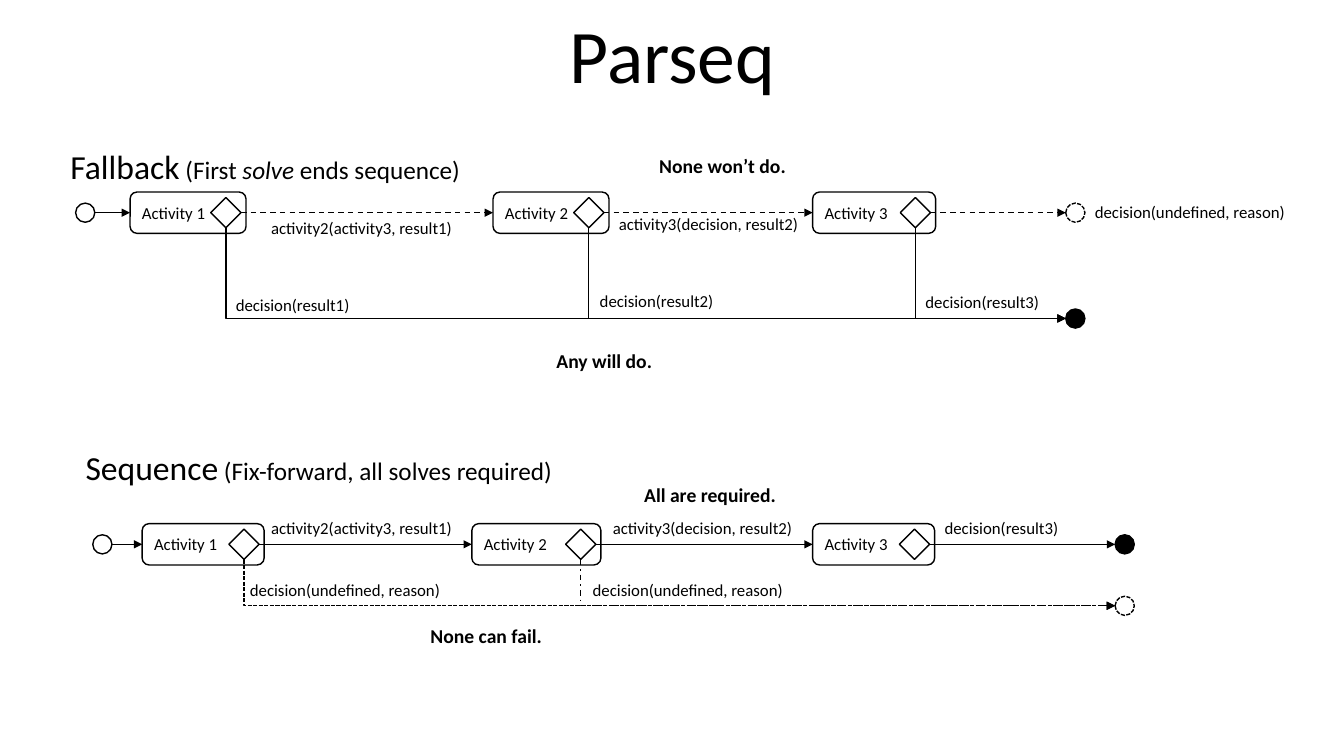
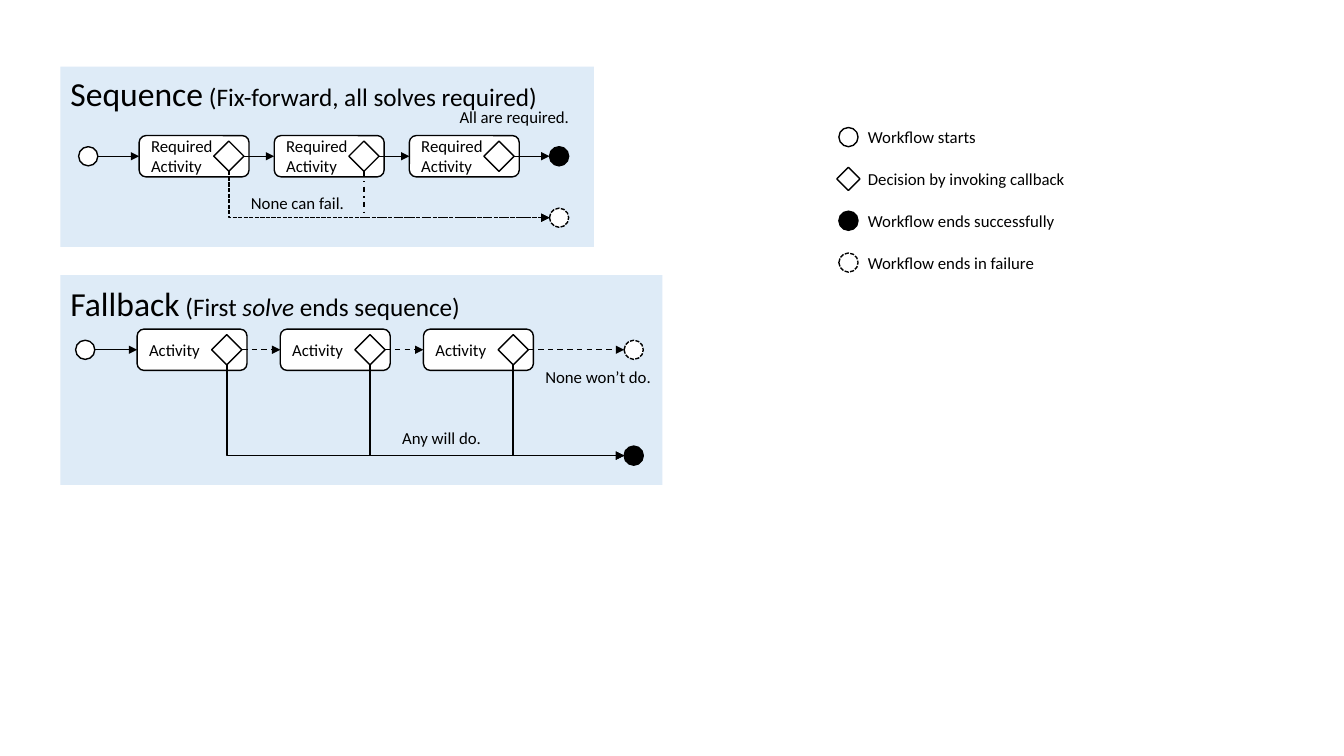
from dataclasses import dataclass

from lxml import etree
from pptx import Presentation
from pptx.dml.color import RGBColor
from pptx.enum import dml, shapes, text
from pptx.oxml.ns import qn
from pptx.util import Inches, Pt

DASH = dml.MSO_LINE.DASH
SHORT_DASH = dml.MSO_LINE.SQUARE_DOT
DASH_DOT = dml.MSO_LINE.DASH_DOT
SOLID = dml.MSO_LINE.SOLID


@dataclass(frozen=True)
class Theme:
    font: str = "Calibri"
    ink: RGBColor = RGBColor(0, 0, 0)
    paper: RGBColor = RGBColor(255, 255, 255)
    panel: RGBColor = RGBColor(0xDE, 0xEB, 0xF7)
    title: int = 54
    heading: int = 24
    subheading: int = 18
    remark: int = 14
    label: int = 12
    line: float = 1
    circle: float = 0.19
    diamond: float = 0.3
    box_height: float = 0.41


@dataclass(frozen=True)
class FlowKind:
    """How a workflow runs along its row and drops to its second end."""
    heading: tuple
    row_dash: object
    row_end: str
    drop_dashes: tuple
    drop_end: str
    drop: float


SEQUENCE = FlowKind(
    heading=("Sequence", (" (Fix-forward, all solves required)", False)),
    row_dash=SOLID, row_end="success",
    drop_dashes=(SHORT_DASH, DASH_DOT), drop_end="failure", drop=0.61)
FALLBACK = FlowKind(
    heading=("Fallback", (" (First ", False), ("solve", True), (" ends sequence)", False)),
    row_dash=DASH, row_end="failure",
    drop_dashes=(SOLID, SOLID, SOLID), drop_end="success", drop=1.05)


def assign(target, values):
    for name, value in values.items():
        setattr(target, name, value)


class Deck:
    def __init__(self, theme):
        self.theme = theme
        self.file = Presentation()
        assign(self.file, {"slide_width": Inches(13.33), "slide_height": Inches(7.5)})
        self.shapes = None

    def new_slide(self):
        self.shapes = self.file.slides.add_slide(self.file.slide_layouts[6]).shapes

    def add_run(self, paragraph, words, size, **style):
        run = paragraph.add_run()
        run.text = words
        assign(run.font, {"name": self.theme.font, "size": Pt(size), **style})
        run.font.color.rgb = self.theme.ink

    def text_frame(self, left, top, width, height, **frame_style):
        box = self.shapes.add_textbox(*map(Inches, (left, top, width, height)))
        assign(box.text_frame, frame_style)
        return box.text_frame

    def title(self, words):
        frame = self.text_frame(1.67, 0.18, 10, 0.86, word_wrap=True,
                                vertical_anchor=text.MSO_ANCHOR.BOTTOM)
        paragraph = frame.paragraphs[0]
        assign(paragraph, {"alignment": text.PP_ALIGN.CENTER, "line_spacing": 0.9})
        self.add_run(paragraph, words, self.theme.title)

    def heading(self, kind, left, top, width):
        frame = self.text_frame(left, top, width, 0.5, word_wrap=True)
        name, *details = kind.heading
        self.add_run(frame.paragraphs[0], name, self.theme.heading)
        for words, italic in details:
            self.add_run(frame.paragraphs[0], words, self.theme.subheading, italic=italic)

    def label(self, words, left, top, width):
        frame = self.text_frame(left, top, width, 0.3, word_wrap=False)
        self.add_run(frame.paragraphs[0], words, self.theme.label)

    def remark(self, words, left, top, width):
        frame = self.text_frame(left, top, width, 0.34, word_wrap=False)
        self.add_run(frame.paragraphs[0], words, self.theme.remark, bold=True)

    def shape(self, preset, left, top, width, height, fill, dash=SOLID, outlined=True):
        shape = self.shapes.add_shape(preset, *map(Inches, (left, top, width, height)))
        shape.shadow.inherit = False
        shape.fill.solid()
        shape.fill.fore_color.rgb = fill
        if outlined:
            self.outline(shape.line, dash)
        else:
            shape.line.fill.background()
        return shape

    def outline(self, line, dash):
        line.color.rgb = self.theme.ink
        assign(line, {"width": Pt(self.theme.line), "dash_style": dash})

    def panel(self, left, top, width, height):
        self.shape(shapes.MSO_SHAPE.RECTANGLE, left, top, width, height,
                   self.theme.panel, outlined=False)

    def event(self, role, left, middle):
        """Draw the circle for a start, a success or a failure."""
        size = self.theme.circle
        fill = self.theme.ink if role == "success" else self.theme.paper
        dash = SHORT_DASH if role == "failure" else SOLID
        self.shape(shapes.MSO_SHAPE.OVAL, left, middle - size / 2, size, size, fill, dash)

    def decision(self, center, middle, size):
        self.shape(shapes.MSO_SHAPE.DIAMOND, center - size / 2, middle - size / 2,
                   size, size, self.theme.paper)

    def activity(self, words, left, middle, width):
        height = self.theme.box_height
        box = self.shape(shapes.MSO_SHAPE.ROUNDED_RECTANGLE, left, middle - height / 2,
                         width, height, self.theme.paper)
        frame = box.text_frame
        frame.vertical_anchor = text.MSO_ANCHOR.MIDDLE
        for number, line in enumerate(words.split("\n")):
            paragraph = frame.add_paragraph() if number else frame.paragraphs[0]
            paragraph.alignment = text.PP_ALIGN.LEFT
            self.add_run(paragraph, line, self.theme.label)

    def connector(self, preset, start, end, dash):
        line = self.shapes.add_connector(preset, *map(Inches, (*start, *end)))
        self.outline(line.line, dash)
        properties = line._element.spPr
        etree.SubElement(properties.find(qn("a:ln")), qn("a:tailEnd"), type="triangle")
        etree.SubElement(properties, qn("a:effectLst"))
        return properties

    def arrow(self, start, end, middle, dash=SOLID):
        self.connector(shapes.MSO_CONNECTOR.STRAIGHT, (start, middle), (end, middle), dash)

    def drop_arrow(self, left, top, right, bottom, dash):
        """Go straight down, then right: a one-bend connector turned by 270 degrees."""
        x, y = (left + right) / 2, (top + bottom) / 2
        half_width, half_height = (right - left) / 2, (bottom - top) / 2
        properties = self.connector(
            shapes.MSO_CONNECTOR.ELBOW, (x + half_height, y - half_width),
            (x - half_height, y + half_width), dash)
        properties.find(qn("a:xfrm")).set("rot", str(270 * 60000))
        properties.find(qn("a:prstGeom")).set("prst", "bentConnector2")

    def flow(self, kind, start, middle, activities, end):
        """Draw a workflow; activities are (words, left, width)."""
        half = self.theme.diamond / 2
        centers = [left + width - 0.2 for _, left, width in activities]
        targets = [left for _, left, _ in activities[1:]] + [end]
        bottom = middle + kind.drop
        self.event("start", start, middle)
        self.arrow(start + self.theme.circle, activities[0][1], middle)
        for (words, left, width), center in zip(activities, centers):
            self.activity(words, left, middle, width)
            self.decision(center, middle, self.theme.diamond)
        for center, target in zip(centers, targets):
            self.arrow(center + half, target, middle, kind.row_dash)
        for center, dash in zip(centers, kind.drop_dashes):
            self.drop_arrow(center, middle + half, end, bottom, dash)
        self.event(kind.row_end, end, middle)
        self.event(kind.drop_end, end, bottom)


def detailed_slide(deck):
    deck.new_slide()
    deck.title("Parseq")
    deck.heading(FALLBACK, 0.6, 1.4, 5.97)
    deck.flow(FALLBACK, 0.75, 2.11, [("Activity 1", 1.29, 1.15), ("Activity 2", 4.89, 1.15),
                                     ("Activity 3", 8.06, 1.22)], 10.57)
    deck.heading(SEQUENCE, 0.75, 4.38, 4.92)
    deck.flow(SEQUENCE, 0.92, 5.4, [("Activity 1", 1.41, 1.21), ("Activity 2", 4.68, 1.28),
                                    ("Activity 3", 8.06, 1.21)], 11.06)
    for remark in (("None won’t do.", 6.44, 1.48, 1.46), ("Any will do.", 5.42, 3.41, 1.16),
                   ("All are required.", 6.29, 4.74, 1.52), ("None can fail.", 4.17, 6.14, 1.32)):
        deck.remark(*remark)
    calls = {
        ("activity2(activity3, result1)", 2.02): [(2.59, 2.11), (2.59, 5.09)],
        ("activity3(decision, result2)", 2): [(6.04, 2.07), (5.98, 5.09)],
        ("decision(undefined, reason)", 2.12): [(10.76, 1.95), (2.38, 5.7), (5.78, 5.7)],
        ("decision(result1)", 1.34): [(2.24, 2.87)],
        ("decision(result2)", 1.34): [(5.85, 2.84)],
        ("decision(result3)", 1.34): [(9.08, 2.85), (9.27, 5.09)],
    }
    for (words, width), places in calls.items():
        for left, top in places:
            deck.label(words, left, top, width)


def row_of_three(words, first, pitch):
    return [(words, first + pitch * step, 1.09) for step in range(3)]


def summary_slide(deck):
    deck.new_slide()
    deck.panel(0.6, 0.66, 5.29, 1.79)
    deck.heading(SEQUENCE, 0.6, 0.67, 4.92)
    deck.flow(SEQUENCE, 0.78, 1.55, row_of_three("Required\nActivity", 1.38, 1.34), 5.45)
    deck.panel(0.6, 2.73, 5.97, 2.08)
    deck.heading(FALLBACK, 0.6, 2.76, 5.97)
    deck.flow(FALLBACK, 0.75, 3.47, row_of_three("Activity", 1.36, 1.42), 6.19)
    for label in (("All are required.", 4.46, 1.01, 1.3), ("None can fail.", 2.39, 1.86, 1.14),
                  ("Any will do.", 3.89, 4.19, 1.03), ("None won’t do.", 5.31, 3.59, 1.26)):
        deck.label(*label)
    legend = (("start", "Workflow starts", 1.29),
              ("decision", "Decision by invoking callback", 2.17),
              ("success", "Workflow ends successfully", 2.08),
              ("failure", "Workflow ends in failure", 1.87))
    for row, (role, meaning, width) in enumerate(legend):
        middle = 1.36 + 0.415 * row
        if role == "decision":
            deck.decision(8.415, middle, 0.23)
        else:
            deck.event(role, 8.32, middle)
        deck.label(meaning, 8.51, middle - 0.15, width)


def main():
    deck = Deck(Theme())
    detailed_slide(deck)
    summary_slide(deck)
    deck.file.save("out.pptx")


if __name__ == "__main__":
    main()
